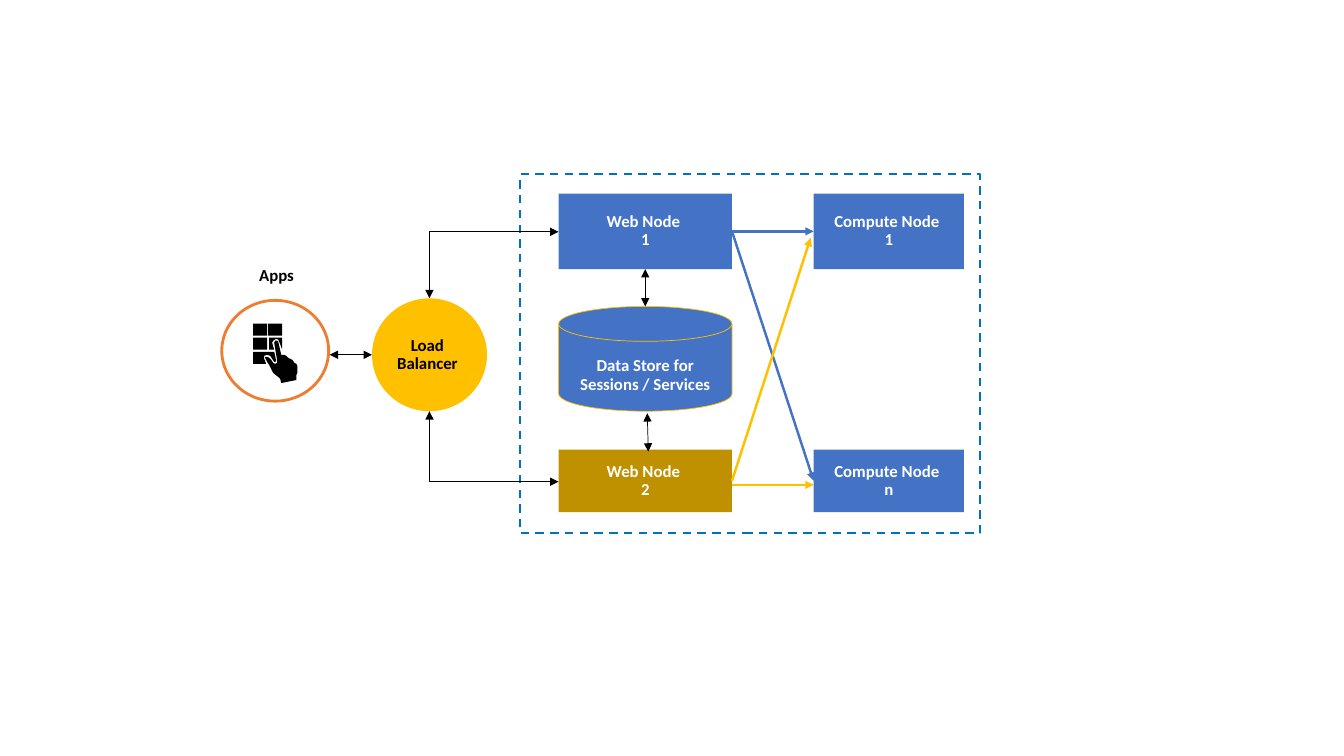
"""Builds a slide showing apps, a load balancer, web nodes and compute nodes."""
from pptx import Presentation
from pptx.dml.color import RGBColor
from pptx.enum import dml, shapes, text
from pptx.oxml.ns import qn
from pptx.util import Inches, Pt
from lxml import etree

THEME = {
    "blue": "4472C4", "ochre": "BF9000", "gold": "FFC000", "orange": "ED7D31",
    "frame": "0070C0", "black": "000000", "white": "FFFFFF",
    "font": "Calibri", "size": 12, "thin": 0.5, "thick": 1.75,
}
COLUMNS = {"apps": (2.2, 1.06), "balancer": (3.69, 1.14), "web": (5.54, 1.72), "compute": (8.07, 1.49)}
ROWS = {"first": (1.92, 0.75), "store": (3.04, 1.04), "last": (4.46, 0.62),
        "apps": (2.98, 1.0), "balancer": (2.96, 1.12)}
KIND = shapes.MSO_SHAPE

deck = Presentation()
deck.slide_width, deck.slide_height = Inches(13.33), Inches(7.5)
slide = deck.slides.add_slide(deck.slide_layouts[6])


def write(shape, wording, color, align=text.PP_ALIGN.CENTER, anchor=text.MSO_ANCHOR.TOP, after=0):
    frame = shape.text_frame
    frame.word_wrap = True
    frame.margin_left = frame.margin_right = Inches(0.2)
    frame.margin_top = frame.margin_bottom = Inches(0.16)
    frame.vertical_anchor = anchor
    frame.text = wording
    line = frame.paragraphs[0]
    line.alignment, line.line_spacing, line.space_after = align, 0.9, Pt(after)
    for run in line.runs:
        run.font.name, run.font.size, run.font.bold = THEME["font"], Pt(THEME["size"]), True
        run.font.color.rgb = RGBColor.from_string(THEME[color])


def link(start, end, color="black", width="thin", both=True, kind=shapes.MSO_CONNECTOR.STRAIGHT):
    wire = slide.shapes.add_connector(kind, *map(Inches, start + end))
    wire.line.color.rgb = RGBColor.from_string(THEME[color])
    wire.line.width = Pt(THEME[width])
    outline = wire.line._get_or_add_ln()
    for tip in ("a:headEnd", "a:tailEnd") if both else ("a:tailEnd",):
        etree.SubElement(outline, qn(tip), type="triangle")
    etree.SubElement(wire._element.spPr, qn("a:effectLst"))
    return wire


parts = {}
for part, column, row, kind, fill, border, weight, wording in [
    ("web 1", "web", "first", KIND.RECTANGLE, "blue", None, 0, "Web Node \v1"),
    ("web 2", "web", "last", KIND.RECTANGLE, "ochre", None, 0, "Web Node \v2"),
    ("compute 1", "compute", "first", KIND.RECTANGLE, "blue", None, 0, "Compute Node \v1"),
    ("compute n", "compute", "last", KIND.RECTANGLE, "blue", None, 0, "Compute Node \vn"),
    ("store", "web", "store", KIND.FLOWCHART_MAGNETIC_DISK, "blue", "gold", 0.5,
     "Data Store for Sessions / Services"),
    ("balancer", "balancer", "balancer", KIND.OVAL, "gold", None, 0, ""),
    ("apps", "apps", "apps", KIND.OVAL, "white", "orange", 2, ""),
]:
    (left, width), (top, height) = COLUMNS[column], ROWS[row]
    node = slide.shapes.add_shape(kind, *map(Inches, (left, top, width, height)))
    node.shadow.inherit = False
    node.fill.solid()
    node.fill.fore_color.rgb = RGBColor.from_string(THEME[fill])
    if border:
        node.line.color.rgb = RGBColor.from_string(THEME[border])
        node.line.width = Pt(weight)
    else:
        node.line.fill.background()
    if wording:
        middle = kind == KIND.RECTANGLE
        write(node, wording, "white", anchor=text.MSO_ANCHOR.MIDDLE if middle else text.MSO_ANCHOR.TOP)
    parts[part] = node

for wording, box, align in [
    ("Load Balancer", (3.62, 3.18, 1.24, 0.69), text.PP_ALIGN.CENTER),
    ("Apps", (2.37, 2.56, 1.61, 0.5), text.PP_ALIGN.LEFT),
]:
    write(slide.shapes.add_textbox(*map(Inches, box)), wording, "black", align, after=6)

hand = [(286, 355), (284, 353), (282, 352), (279, 352), (276, 339), (275, 338), (273, 338), (272, 340),
        (275, 358), (275, 360), (273, 361), (271, 360), (269, 357), (267, 355), (265, 353.5), (263, 354),
        (263, 355), (265, 359), (267, 362), (271, 370), (276, 374), (278, 376), (279, 380), (294, 377),
        (294, 372), (295, 370), (295, 363), (294, 361), (292, 360), (290, 357)]
whole_keys = [[(x, y), (x + 14, y), (x + 14, y + 12), (x, y + 12)]
              for x, y in [(251, 321), (266.5, 321), (251, 335)]]
covered_keys = [
    [(272, 347), (267, 347), (267, 335), (280, 335), (280, 347), (277, 339), (276, 337), (274, 336),
     (271, 338), (270, 340)],
    [(264, 361), (251, 361), (251, 349), (272, 349), (274, 358), (273, 359), (272, 359), (270, 356),
     (268, 353), (265, 352), (262, 353), (262, 356), (263, 358)],
]
keypad = slide.shapes.build_freeform(*hand[0], scale=Inches(0.01))
keypad.add_line_segments(hand[1:])
for key in whole_keys + covered_keys:
    keypad.move_to(*key[0])
    keypad.add_line_segments(key[1:])
touch = keypad.convert_to_shape()
touch.shadow.inherit = False
touch.fill.solid()
touch.fill.fore_color.rgb = RGBColor.from_string(THEME["black"])
touch.line.fill.background()

cluster = slide.shapes.add_shape(KIND.RECTANGLE, *map(Inches, (5.16, 1.73, 4.56, 3.56)))
cluster.shadow.inherit = False
cluster.fill.background()
cluster.line.color.rgb = RGBColor.from_string(THEME["frame"])
cluster.line.width = Pt(1.5)
cluster.line.dash_style = dml.MSO_LINE.DASH

link((3.27, 3.52), (3.69, 3.52))
link((6.43, 4.48), (6.42, 4.1))
link((6.4, 2.67), (6.4, 3.04)).begin_connect(parts["web 1"], 2)
for start, end in [((5.54, 2.3), (4.26, 2.96)), ((5.54, 4.78), (4.26, 4.08))]:
    elbow = link(start, end, kind=shapes.MSO_CONNECTOR.ELBOW)
    elbow._element.spPr.find(qn("a:prstGeom")).set("prst", "bentConnector2")

for target in ("compute 1", "compute n"):
    request = link((7.26, 2.3), (8.07, 2.3), "blue", "thick", both=False)
    request.begin_connect(parts["web 1"], 3)
    request.end_connect(parts[target], 1)
link((7.26, 4.77), (8.04, 2.36), "gold", "thick", both=False).begin_connect(parts["web 2"], 3)
link((7.26, 4.81), (8.07, 4.81), "gold", "thick", both=False)

deck.save("out.pptx")
